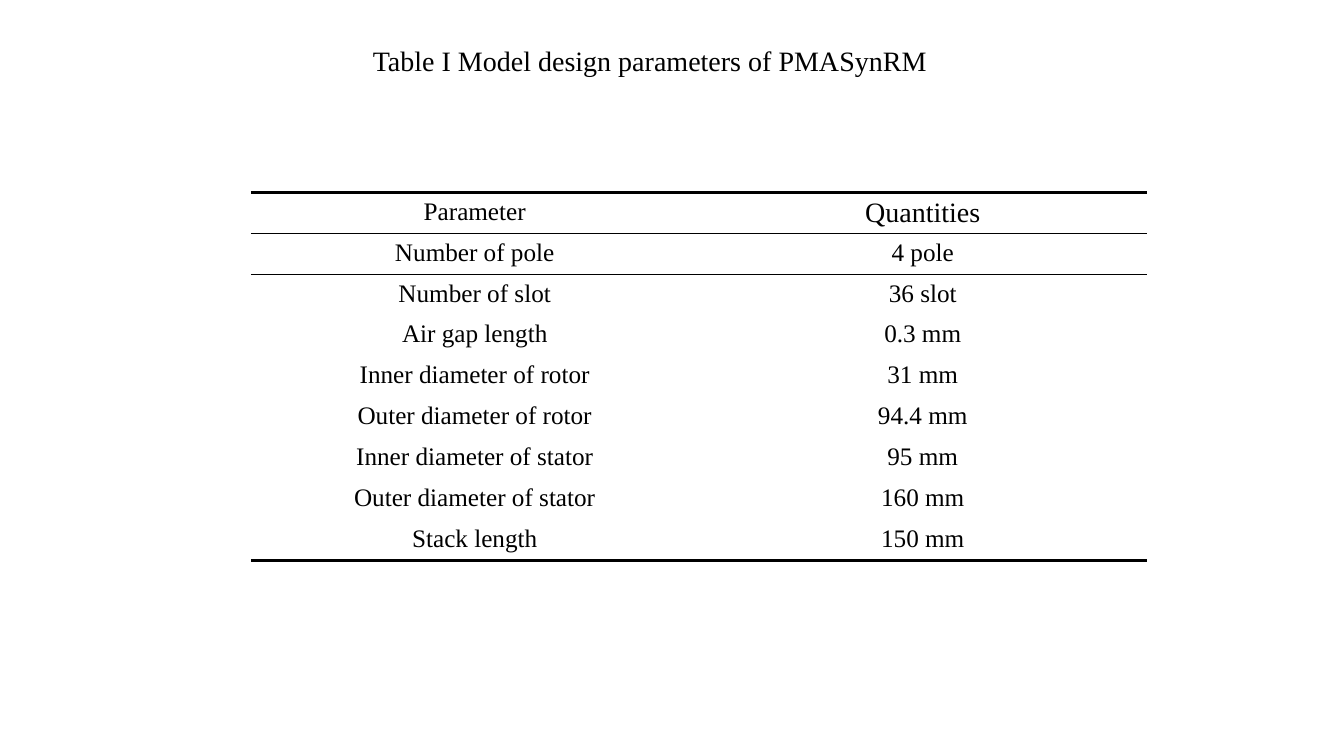
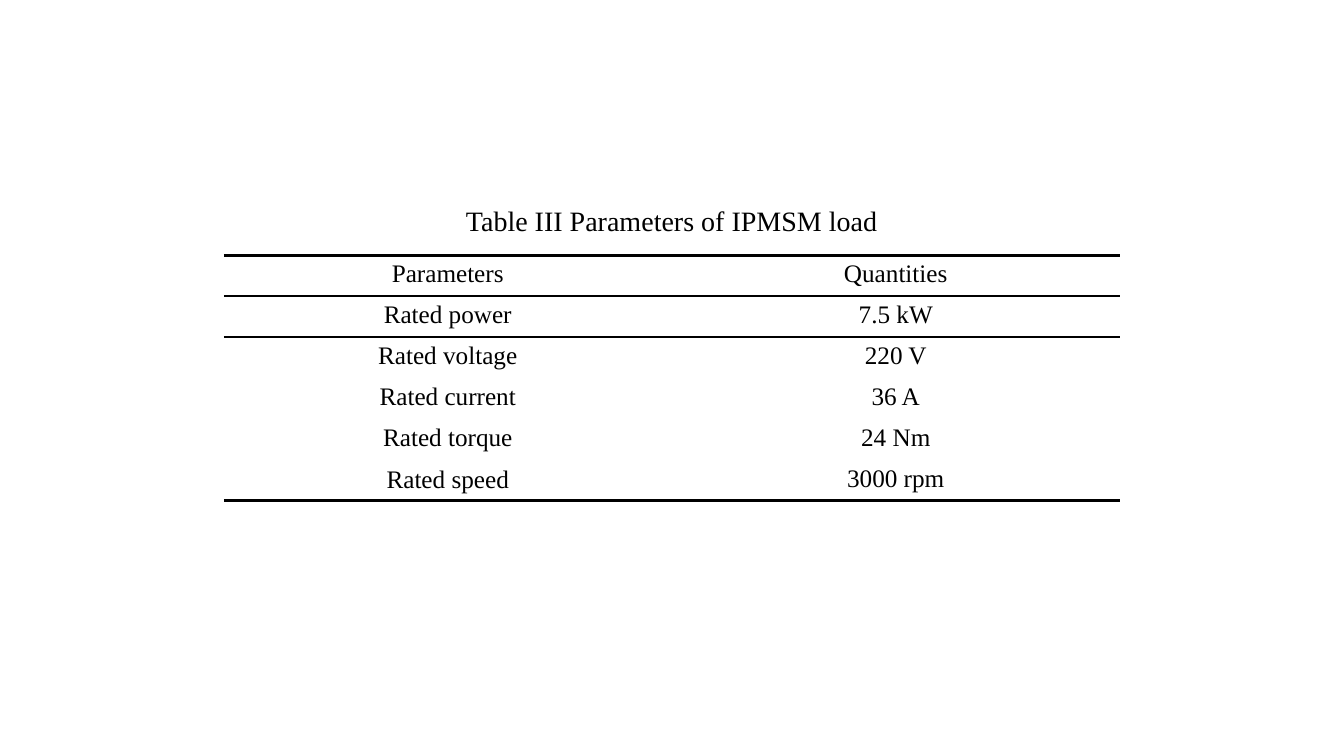
from pptx import Presentation
from pptx.dml.color import RGBColor
from pptx.enum.text import MSO_ANCHOR, MSO_AUTO_SIZE, PP_ALIGN
from pptx.oxml import parse_xml
from pptx.oxml.ns import nsdecls, qn
from pptx.util import Cm, Pt

FONT = "Times New Roman"
INK = "000000"
TITLE_SIZE = 20
BODY_SIZE = 18
THICK_RULE = 2.25
THIN_RULE = 1
TABLE_WIDTH = 22.58
ROW_HEIGHT = 1.03
TITLE_HEIGHT = 1.11
PLAIN_TABLE_STYLE = "{2D5ABB26-0587-4C30-8999-92F81FD0307C}"

MODEL_ROWS = [
    ("Parameter", "Quantities"),
    ("Number of pole", "4 pole"),
    ("Number of slot", "36 slot"),
    ("Air gap length", "0.3 mm"),
    ("Inner diameter of rotor", "31 mm"),
    ("Outer diameter of rotor", "94.4 mm"),
    ("Inner diameter of stator", "95 mm"),
    ("Outer diameter of stator", "160 mm"),
    ("Stack length", "150 mm"),
]
LOAD_ROWS = [
    ("Parameters", "Quantities"),
    ("Rated power", "7.5 kW"),
    ("Rated voltage", "220 V"),
    ("Rated current", "36 A"),
    ("Rated torque", "24 Nm"),
    ("Rated speed", "3000 rpm"),
]


def color(value):
    return RGBColor.from_string(value)


def write(text_frame, text, size, alignment=PP_ALIGN.CENTER):
    text_frame.text = text
    paragraph = text_frame.paragraphs[0]
    paragraph.alignment = alignment
    for run in paragraph.runs:
        run.font.name = FONT
        run.font.size = Pt(size)
        run.font.color.rgb = color(INK)


def add_titled_slide(presentation, text, left, top, width, alignment):
    slide = presentation.slides.add_slide(presentation.slide_layouts[5])
    title = slide.shapes.title
    title.left, title.top = Cm(left), Cm(top)
    title.width, title.height = Cm(width), Cm(TITLE_HEIGHT)
    text_frame = title.text_frame
    text_frame.word_wrap = True
    text_frame.auto_size = MSO_AUTO_SIZE.NONE
    text_frame.vertical_anchor = MSO_ANCHOR.TOP
    write(text_frame, text, TITLE_SIZE, alignment)
    return slide


def add_rule(cell, side, width):
    line = parse_xml(
        f'<a:{side} {nsdecls("a")} w="{Pt(width)}"><a:solidFill>'
        f'<a:srgbClr val="{INK}"/></a:solidFill></a:{side}>'
    )
    properties = cell._tc.get_or_add_tcPr()
    properties.insert(len(properties.findall(qn("a:lnT"))), line)


def add_ruled_table(slide, rows, left, top):
    frame = slide.shapes.add_table(
        len(rows), len(rows[0]), Cm(left), Cm(top),
        Cm(TABLE_WIDTH), Cm(ROW_HEIGHT * len(rows)),
    )
    table = frame.table
    table.first_row = table.horz_banding = False
    table._tbl.tblPr.find(qn("a:tableStyleId")).text = PLAIN_TABLE_STYLE
    last = len(rows) - 1
    for row_index, values in enumerate(rows):
        table.rows[row_index].height = Cm(ROW_HEIGHT)
        for column_index, value in enumerate(values):
            cell = table.cell(row_index, column_index)
            cell.fill.background()
            write(cell.text_frame, value, BODY_SIZE)
            if row_index == 0:
                add_rule(cell, "lnT", THICK_RULE)
                add_rule(cell, "lnB", THIN_RULE)
            elif row_index == 1:
                add_rule(cell, "lnT", THIN_RULE)
            elif row_index == last:
                add_rule(cell, "lnB", THICK_RULE)
    return table


def add_model_slide(presentation):
    slide = add_titled_slide(
        presentation, "Table I Model design parameters of PMASynRM",
        9.14, 0.97, 16.92, PP_ALIGN.LEFT,
    )
    table = add_ruled_table(slide, MODEL_ROWS, 6.32, 4.85)
    write(table.cell(0, 1).text_frame, MODEL_ROWS[0][1], TITLE_SIZE)


def add_load_slide(presentation):
    slide = add_titled_slide(
        presentation, "Table III Parameters of IPMSM load",
        9.45, 5, 14.96, PP_ALIGN.CENTER,
    )
    table = add_ruled_table(slide, LOAD_ROWS, 5.64, 6.43)
    table.cell(len(LOAD_ROWS) - 1, 0).vertical_anchor = MSO_ANCHOR.MIDDLE


def main():
    presentation = Presentation()
    presentation.slide_width = Cm(33.87)
    presentation.slide_height = Cm(19.05)
    add_model_slide(presentation)
    add_load_slide(presentation)
    presentation.save("out.pptx")


if __name__ == "__main__":
    main()
